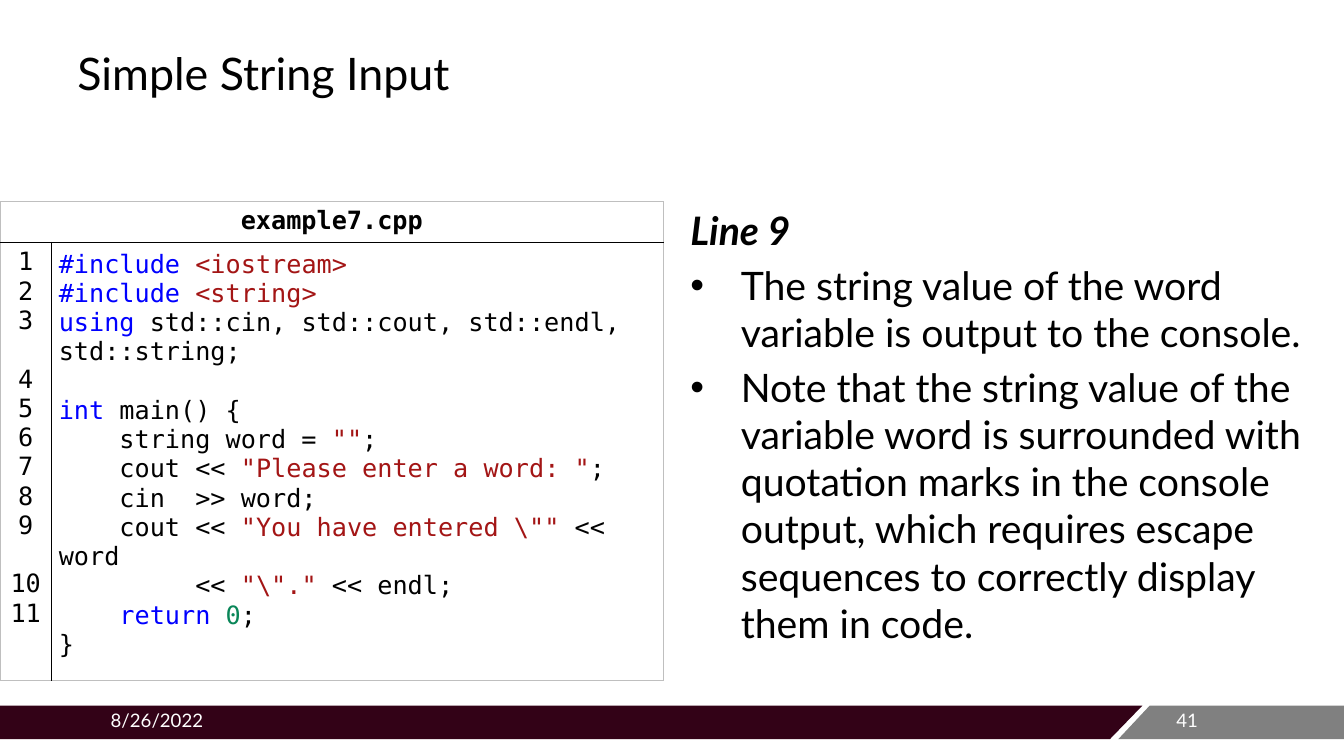
from dataclasses import dataclass

from lxml.etree import SubElement
from pptx import Presentation
from pptx.dml.color import RGBColor
from pptx.enum.text import MSO_ANCHOR, MSO_AUTO_SIZE, PP_ALIGN
from pptx.oxml.ns import qn
from pptx.util import Emu, Pt

EMU_PER_PX = 9525


@dataclass(frozen=True)
class Theme:
    text_font: str = "Lato"
    code_font: str = "DejaVu Sans Mono"
    title_size: float = 32
    body_size: float = 28
    code_size: float = 18
    footer_size: float = 13.3
    code_line_height: float = 21
    black: str = "000000"
    white: str = "FFFFFF"
    maroon: str = "330217"
    gray: str = "808080"
    frame: str = "BFBFBF"
    keyword: str = "0000FF"
    string: str = "A31515"
    number: str = "098658"


THEME = Theme()

# Each code line is a list of (text, colour) runs
PLAIN, KEYWORD, STRING, NUMBER = THEME.black, THEME.keyword, THEME.string, THEME.number
CODE_LINES = [
    [("#include ", KEYWORD), ("<iostream>", STRING)],
    [("#include ", KEYWORD), ("<string>", STRING)],
    [("using", KEYWORD), (" std::cin, std::cout, std::endl, std::string;", PLAIN)],
    [(" ", PLAIN)],
    [("int", KEYWORD), (" main() {", PLAIN)],
    [("    string word = ", PLAIN), ('""', STRING), (";", PLAIN)],
    [("    cout << ", PLAIN), ('"Please enter a word: "', STRING), (";", PLAIN)],
    [("    cin  >> word;", PLAIN)],
    [("    cout << ", PLAIN), (r'"You have entered \""', STRING), (" << word", PLAIN)],
    [("         << ", PLAIN), (r'"\"."', STRING), (" << endl;", PLAIN)],
    [("    ", PLAIN), ("return ", KEYWORD), ("0", NUMBER), (";", PLAIN)],
    [("}", PLAIN)],
]
LAST_NUMBER = 11
WRAPPED_LINES = (3, 9)

NOTES = [
    "The string value of the word variable is output to the console.",
    "Note that the string value of the variable word is surrounded with quotation "
    "marks in the console output, which requires escape sequences to correctly "
    "display them in code.",
]


def px(value):
    return Emu(value * EMU_PER_PX)


def place(shape, left, top, width, height):
    shape.left, shape.top = px(left), px(top)
    shape.width, shape.height = px(width), px(height)


def add_run(paragraph, text, size, color=THEME.black, font=THEME.text_font,
            bold=False, italic=False):
    run = paragraph.add_run()
    run.text = text
    run.font.name = font
    run.font.size = Pt(size)
    run.font.color.rgb = RGBColor.from_string(color)
    run.font.bold, run.font.italic = bold, italic


def next_paragraph(text_frame, index):
    return text_frame.add_paragraph() if index else text_frame.paragraphs[0]


def set_bullet(paragraph, indent, character=None):
    properties = paragraph._p.get_or_add_pPr()
    properties.set("marL", str(px(indent)))
    properties.set("indent", str(px(-indent)))
    if character:
        SubElement(properties, qn("a:buChar"), char=character)
    else:
        SubElement(properties, qn("a:buNone"))


def add_band(slide, points, color):
    builder = slide.shapes.build_freeform(*points[0], scale=EMU_PER_PX)
    builder.add_line_segments(points[1:], close=True)
    shape = builder.convert_to_shape()
    shape.shadow.inherit = False
    shape.fill.solid()
    shape.fill.fore_color.rgb = RGBColor.from_string(color)
    shape.line.fill.background()


def add_footer_text(slide, text, left, width):
    box = slide.shapes.add_textbox(px(left), px(670), px(width), px(38))
    box.text_frame.word_wrap = True
    add_run(box.text_frame.paragraphs[0], text, THEME.footer_size, THEME.white)


def fill_title(title, text):
    place(title, 64, 27, 720, 84)
    title.text_frame.vertical_anchor = MSO_ANCHOR.MIDDLE
    title.text_frame.auto_size = MSO_AUTO_SIZE.NONE
    paragraph = title.text_frame.paragraphs[0]
    paragraph.alignment = PP_ALIGN.LEFT
    add_run(paragraph, text, THEME.title_size)


def fill_body(body, heading, notes):
    place(body, 648, 192, 632, 528)
    text_frame = body.text_frame
    text_frame.auto_size = MSO_AUTO_SIZE.NONE
    first = text_frame.paragraphs[0]
    first.space_before = Pt(0)
    set_bullet(first, 0)
    add_run(first, heading, THEME.body_size, bold=True, italic=True)
    for note in notes:
        paragraph = text_frame.add_paragraph()
        set_bullet(paragraph, 48, "•")
        add_run(paragraph, note, THEME.body_size)


def style_cell(cell, left, right, top, bottom):
    properties = cell._tc.get_or_add_tcPr()
    for side, color in zip("LRTB", (left, right, top, bottom)):
        line = SubElement(properties, qn(f"a:ln{side}"), w=str(Pt(1)))
        fill = SubElement(line, qn("a:solidFill"))
        SubElement(fill, qn("a:srgbClr"), val=color)
    cell.fill.background()


def add_code_table(slide, file_name):
    frame = slide.shapes.add_table(2, 2, px(0), px(192), px(632), px(442))
    table = frame.table
    table.first_row = table.horz_banding = False
    for column, width in zip(table.columns, (49, 583)):
        column.width = px(width)
    for row, height in zip(table.rows, (39, 403)):
        row.height = px(height)

    # Grey outer frame, black inner rules
    gray, black = THEME.frame, THEME.black
    header, numbers, code = table.cell(0, 0), table.cell(1, 0), table.cell(1, 1)
    header.merge(table.cell(0, 1))
    for cell in (header, table.cell(0, 1)):
        style_cell(cell, gray, gray, gray, black)
    style_cell(numbers, gray, black, black, gray)
    style_cell(code, black, gray, black, gray)

    # File name
    paragraph = header.text_frame.paragraphs[0]
    paragraph.alignment = PP_ALIGN.CENTER
    add_run(paragraph, file_name, THEME.code_size, font=THEME.code_font, bold=True)

    # Line numbers, leaving room after each wrapped line
    for index in range(LAST_NUMBER):
        paragraph = next_paragraph(numbers.text_frame, index)
        paragraph.alignment = PP_ALIGN.CENTER
        if index in WRAPPED_LINES:
            paragraph.space_before = Pt(THEME.code_line_height)
        add_run(paragraph, str(index + 1), THEME.code_size, font=THEME.code_font)

    # Code
    code.margin_left = code.margin_right = code.margin_top = code.margin_bottom = px(7)
    for index, line in enumerate(CODE_LINES):
        paragraph = next_paragraph(code.text_frame, index)
        for text, color in line:
            add_run(paragraph, text, THEME.code_size, color, THEME.code_font)


def main():
    presentation = Presentation()
    presentation.slide_width, presentation.slide_height = px(1280), px(720)
    slide = presentation.slides.add_slide(presentation.slide_layouts[1])

    # Footer
    add_band(slide, [(0, 672), (1088, 672), (1057, 704), (0, 704)], THEME.maroon)
    add_band(slide, [(1095, 672), (1280, 672), (1280, 704), (1065, 704)], THEME.gray)
    add_footer_text(slide, "41", 1111, 74)
    add_footer_text(slide, "8/26/2022", 96, 720)

    # Content
    fill_title(slide.shapes.title, "Simple String Input")
    fill_body(slide.placeholders[1], "Line 9", NOTES)
    add_code_table(slide, "example7.cpp")

    presentation.save("out.pptx")


if __name__ == "__main__":
    main()
